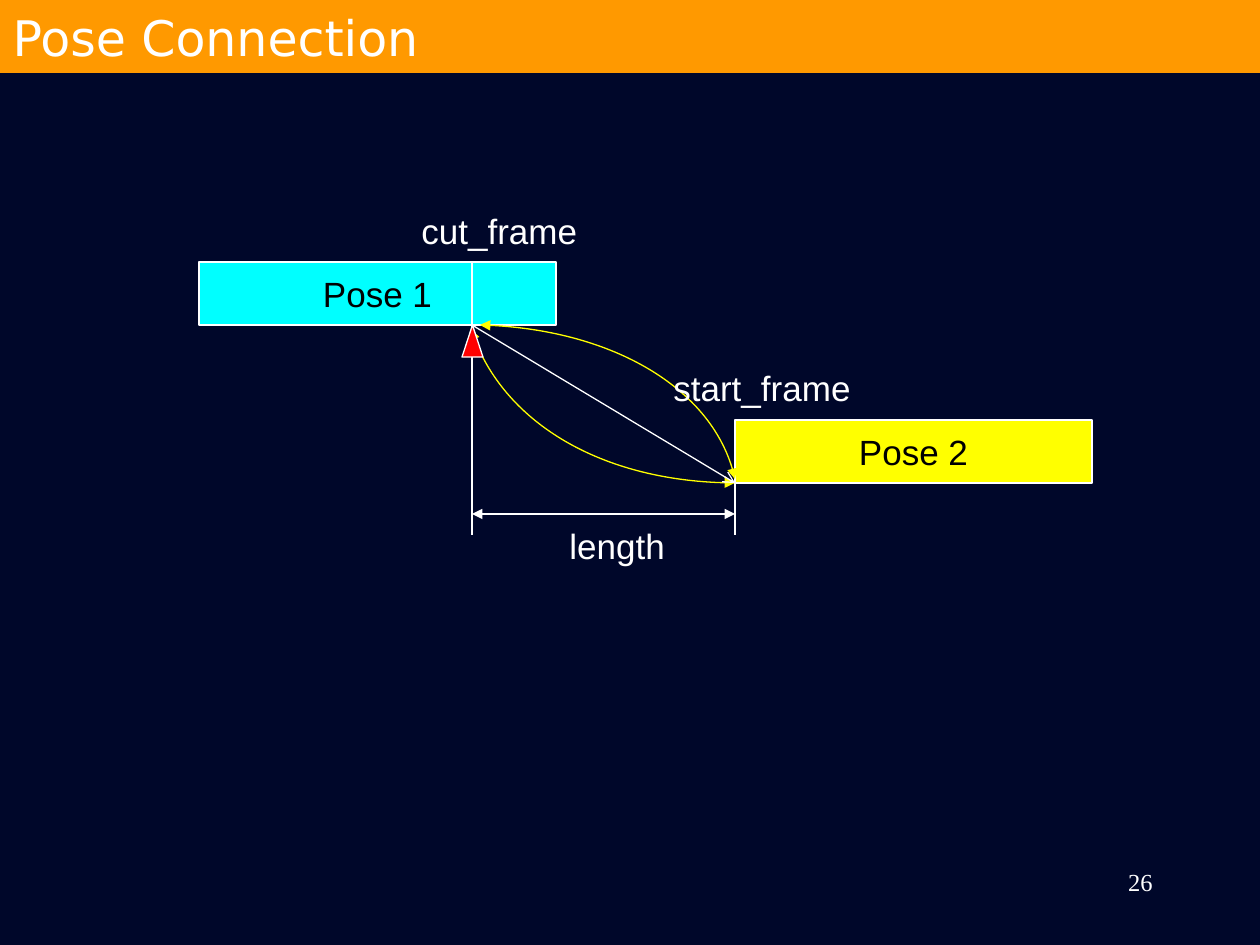
from pptx import Presentation
from pptx import util as u
from pptx.dml.color import RGBColor
from pptx.enum import shapes as s, text as t
from pptx.oxml.ns import qn
from lxml import etree

SCALE = u.Inches(1) / 126
WHITE, BLACK, YELLOW = "FFFFFF", "000000", "FFFF00"
LEFT, CENTER, RIGHT = t.PP_ALIGN.LEFT, t.PP_ALIGN.CENTER, t.PP_ALIGN.RIGHT
TOP, MIDDLE = t.MSO_ANCHOR.TOP, t.MSO_ANCHOR.MIDDLE


def px(*vals):
    """Turn px lengths into a list of EMU."""
    return [round(val * SCALE) for val in vals]


def paint(form, color):
    """Give a fill, or the fill of a line, a solid colour."""
    form.solid()
    form.fore_color.rgb = RGBColor.from_string(color)


def stroke(shape, color, head=None, tail=None):
    """Draw a thin line with optional arrowheads."""
    paint(shape.line.fill, color)
    shape.line.width = u.Pt(0.75)
    edge = shape._element.spPr.find(qn("a:ln"))
    for tag, kind in (("a:headEnd", head), ("a:tailEnd", tail)):
        if kind:
            etree.SubElement(edge, qn(tag), type=kind)


def write(shape, words, color=WHITE, size=20, face="Arial", align=LEFT,
          anchor=TOP, wrap=False):
    """Set the words of a shape and their format."""
    frame = shape.text_frame
    frame.text = words
    para = frame.paragraphs[0]
    para.alignment = align
    for key, val in {"word_wrap": wrap, "vertical_anchor": anchor}.items():
        setattr(frame, key, val)
    for key, val in {"name": face, "size": u.Pt(size), "bold": False}.items():
        setattr(para.font, key, val)
    paint(para.font.fill, color)


def title(slide, words):
    """Format the title as a bar across the top."""
    bar = slide.shapes.title
    bar.left, bar.top, bar.width, bar.height = px(0, 0, 1260, 73)
    paint(bar.fill, "FF9900")
    write(bar, words, size=28, face="DejaVu Sans", anchor=MIDDLE, wrap=True)


def label(slide, box, words, **style):
    """Add a text box."""
    write(slide.shapes.add_textbox(*px(*box)), words, **style)


def solid(slide, kind, box, color):
    """Add a filled preset shape with a white edge."""
    shape = slide.shapes.add_shape(kind, *px(*box))
    shape.shadow.inherit = False
    paint(shape.fill, color)
    stroke(shape, WHITE)
    return shape


def pose(slide, left, top, words, color):
    """Add a pose block with its name."""
    block = solid(slide, s.MSO_SHAPE.RECTANGLE, (left, top, 357, 63), color)
    write(block, words, color=BLACK, align=CENTER, anchor=MIDDLE)


def line(slide, ends, head=None, tail=None):
    """Add a straight white line."""
    link = slide.shapes.add_connector(s.MSO_CONNECTOR.STRAIGHT, *px(*ends))
    stroke(link, WHITE, head, tail)
    etree.SubElement(link._element.spPr, qn("a:effectLst"))


def curve(slide, start, *points):
    """Add a cubic curve with an arrowhead at each end."""
    build = slide.shapes.build_freeform(*px(*start))
    build.add_line_segments([px(*point) for point in points], close=False)
    shape = build.convert_to_shape()
    track = shape._element.find(".//" + qn("a:path"))
    bend = etree.SubElement(track, qn("a:cubicBezTo"))
    for step in track.findall(qn("a:lnTo")):
        bend.append(step[0])
        track.remove(step)
    shape.shadow.inherit = False
    shape.fill.background()
    stroke(shape, YELLOW, "triangle", "triangle")


def main():
    """Build the slide and save it."""
    deck = Presentation()
    deck.slide_width, deck.slide_height = px(1260, 945)
    slide = deck.slides.add_slide(deck.slide_layouts[5])
    paint(slide.background.fill, "00072A")
    title(slide, "Pose Connection")
    label(slide, (903, 861, 262, 63), "26", size=14, face="Times New Roman",
          align=RIGHT, wrap=True)

    cut, start = 472, 735
    curve(slide, (start, 483), (607, 483), (500, 420), (471, 329))
    pose(slide, 199, 262, "Pose 1", "00FFFF")
    pose(slide, start, 420, "Pose 2", YELLOW)
    line(slide, (cut, 262, cut, 535))
    line(slide, (cut, 325, start, 483), tail="arrow")
    line(slide, (cut, 514, start, 514), "triangle", "triangle")
    line(slide, (start, 472, start, 535))
    solid(slide, s.MSO_SHAPE.ISOSCELES_TRIANGLE, (462, 325, 21, 32), "FF0000")
    curve(slide, (480, 325), (609, 328), (717, 393), (start, 479))

    for box, words in (((409, 203, 181, 55), "cut_frame"),
                       ((661, 360, 203, 55), "start_frame"),
                       ((557, 518, 121, 55), "length")):
        label(slide, box, words)
    deck.save("out.pptx")


if __name__ == "__main__":
    main()
